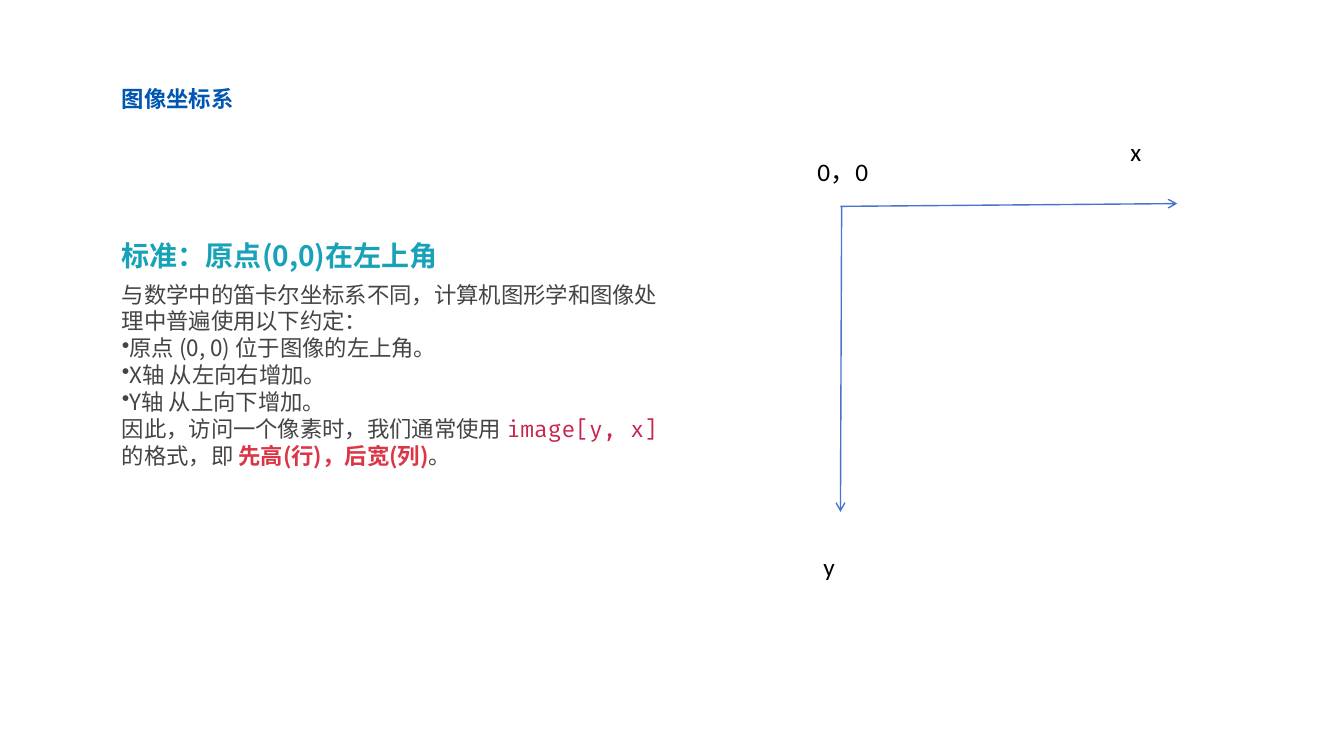
import pptx
import pptx.util
import pptx.dml.color
import pptx.enum.shapes
import pptx.enum.text
import pptx.oxml.xmlchemy
from pptx.util import Cm

THEME = {
    "sans": "Noto Sans CJK SC", "code": "Fira Code", "label": "Calibri",
    "blue": "0056B3", "teal": "17A2B8", "gray": "444444", "pink": "C7254E",
    "red": "DC3545", "black": "000000", "axis": "4874CB",
    "head": 20, "body": 16, "mark": 18, "line": 1, "pitch": 1.2,
}

TITLE = "图像坐标系"
HEAD = "标准：原点(0,0)在左上角"
INTRO = "与数学中的笛卡尔坐标系不同，计算机图形学和图像处理中普遍使用以下约定："
RULES = ["原点 (0, 0) 位于图像的左上角。", "X轴 从左向右增加。", "Y轴 从上向下增加。"]
ACCESS = [
    ("因此，访问一个像素时，我们通常使用 ", {}),
    ("image[y, x] ", {"face": "code", "color": "pink"}),
    ("的格式，即 ", {}),
    ("先高(行)，后宽(列)", {"color": "red", "bold": True}),
    ("。", {}),
]
# text, left, top, width in cm
MARKS = [("x", 28.24, 3.3, 2.18), ("y", 20.5, 13.77, 1.65), ("0，0", 20.35, 3.81, 2.31)]
# start x, start y, end x, end y in cm
AXES = [(21.18, 5.2, 29.67, 5.13), (21.21, 5.2, 21.18, 12.9)]
LEFT, WIDE = 2.82, 14.12


def tint(name):
    return pptx.dml.color.RGBColor.from_string(THEME[name])


def add_xml(node, tag, **attrs):
    item = pptx.oxml.xmlchemy.OxmlElement(tag)
    for key, value in attrs.items():
        item.set(key, value)
    node.append(item)


def add_run(para, text, size="body", face="sans", color="gray", bold=False):
    run = para.add_run()
    run.text = text
    font = run.font
    font.size, font.bold = pptx.util.Pt(THEME[size]), bold
    font.name = THEME[face]
    font.color.rgb = tint(color)
    east = THEME["sans"] if face == "label" else THEME[face]
    add_xml(run._r.get_or_add_rPr(), "a:ea", typeface=east)


def write(para, text, size="body", after=0, bullet=False, **style):
    """Fill a paragraph with a string or with (text, style) pairs."""
    if bullet:
        props = para._p.get_or_add_pPr()
        props.set("marL", "0")
        props.set("indent", "0")
        add_xml(props, "a:buChar", char="•")
    para.alignment = pptx.enum.text.PP_ALIGN.LEFT
    para.line_spacing = pptx.util.Pt(THEME[size] * THEME["pitch"])
    para.space_after = pptx.util.Pt(after)
    parts = [(text, style)] if isinstance(text, str) else text
    for part, look in parts:
        add_run(para, part, size=size, **look)


def set_frame(shape):
    frame = shape.text_frame
    frame.word_wrap = True
    frame.auto_size = pptx.enum.text.MSO_AUTO_SIZE.SHAPE_TO_FIT_TEXT
    frame.vertical_anchor = pptx.enum.text.MSO_ANCHOR.TOP
    return frame


def add_box(slide, left, top, width, height):
    return set_frame(slide.shapes.add_textbox(Cm(left), Cm(top), Cm(width), Cm(height)))


def add_title(slide):
    title = slide.shapes.title
    title.left, title.top = Cm(LEFT), Cm(2.03)
    title.width, title.height = Cm(WIDE), Cm(0.94)
    write(set_frame(title).paragraphs[0], TITLE, after=9, color="blue", bold=True)


def add_body(slide):
    frame = add_box(slide, LEFT, 5.89, WIDE, 6.12)
    write(frame.paragraphs[0], HEAD, size="head", after=6, color="teal", bold=True)
    write(frame.add_paragraph(), INTRO)
    for rule in RULES:
        write(frame.add_paragraph(), rule, bullet=True)
    write(frame.add_paragraph(), ACCESS)


def add_axis(slide, ends):
    kind = pptx.enum.shapes.MSO_CONNECTOR.STRAIGHT
    axis = slide.shapes.add_connector(kind, *map(Cm, ends))
    axis.line.color.rgb = tint("axis")
    axis.line.width = pptx.util.Pt(THEME["line"])
    add_xml(axis.line._get_or_add_ln(), "a:tailEnd", type="arrow")
    add_xml(axis._element.spPr, "a:effectLst")


def main():
    deck = pptx.Presentation()
    deck.slide_width, deck.slide_height = Cm(33.87), Cm(19.05)
    slide = deck.slides.add_slide(deck.slide_layouts[5])
    add_title(slide)
    add_body(slide)
    for ends in AXES:
        add_axis(slide, ends)
    for text, left, top, width in MARKS:
        frame = add_box(slide, left, top, width, 1.02)
        write(frame.paragraphs[0], text, size="mark", face="label", color="black")
    deck.save("out.pptx")


if __name__ == "__main__":
    main()
